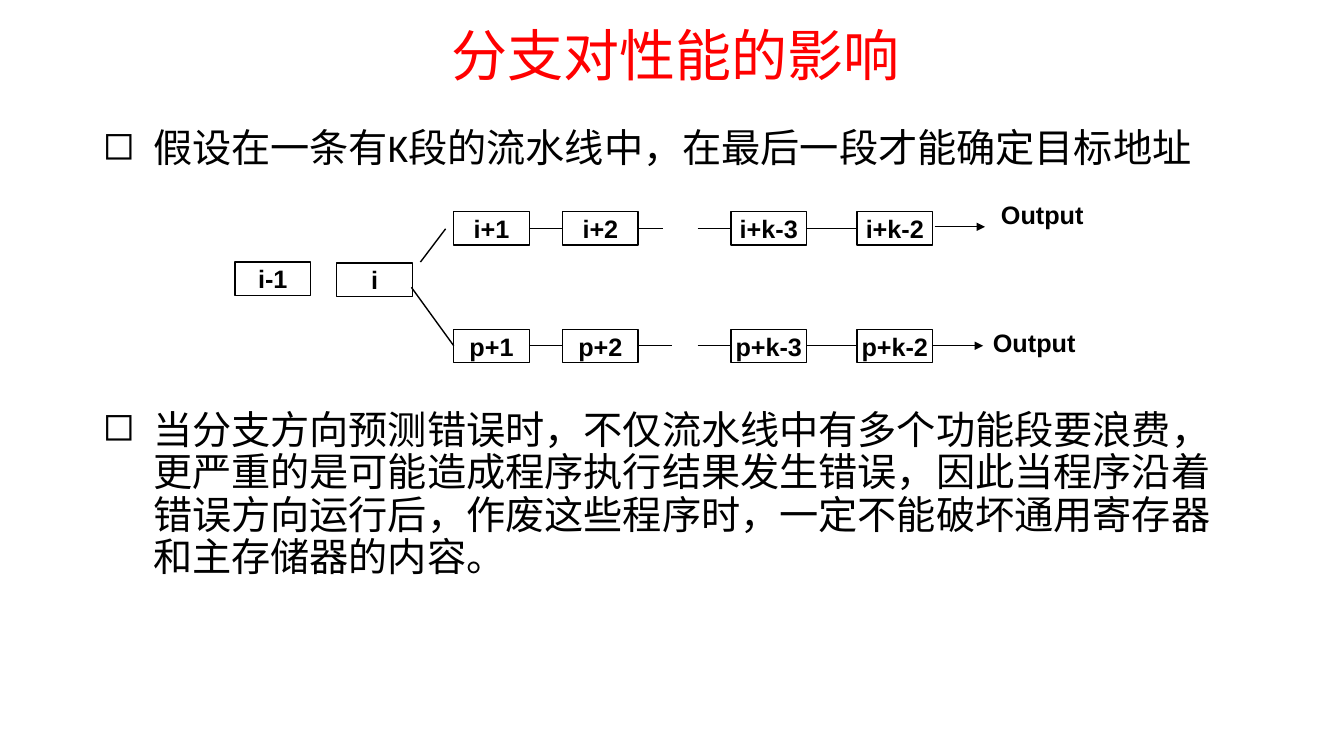
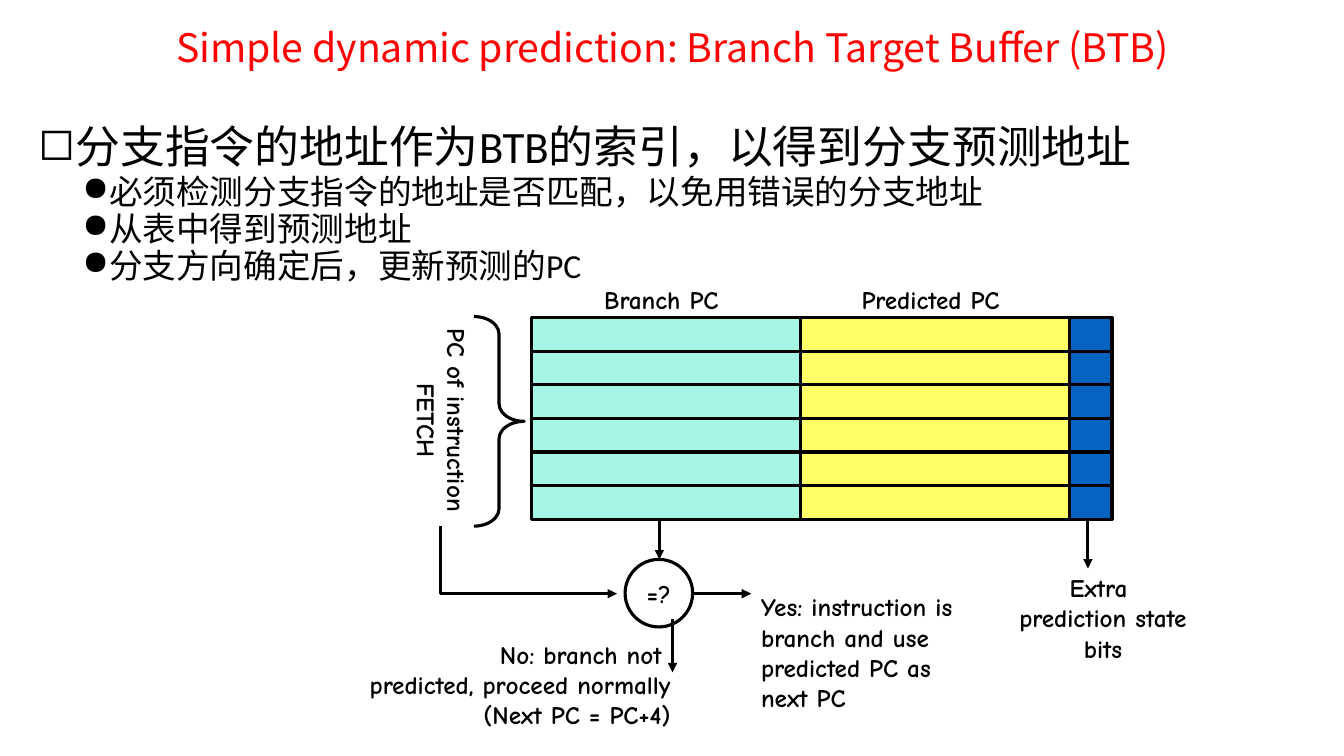
from pptx import Presentation
from pptx.dml.color import RGBColor
from pptx.enum.shapes import MSO_CONNECTOR, MSO_SHAPE
from pptx.enum.text import MSO_ANCHOR, PP_ALIGN
from pptx.oxml.ns import qn
from pptx.util import Inches, Pt
from lxml import etree

RED = RGBColor(0xFF, 0x00, 0x00)
BLACK = RGBColor(0x00, 0x00, 0x00)
MINT = RGBColor(0xA6, 0xF6, 0xE5)
YELLOW = RGBColor(0xFF, 0xFF, 0x66)
BLUE = RGBColor(0x05, 0x63, 0xC1)
HAN, BODY, SANS, COMIC = "Noto Sans CJK SC", "Calibri", "Arial", "Comic Neue"
RECT, OVAL, BRACE = MSO_SHAPE.RECTANGLE, MSO_SHAPE.OVAL, MSO_SHAPE.RIGHT_BRACE
LEFT, MID, RIGHT = PP_ALIGN.LEFT, PP_ALIGN.CENTER, PP_ALIGN.RIGHT
TOP, CENTER = MSO_ANCHOR.TOP, MSO_ANCHOR.MIDDLE
STRAIGHT = MSO_CONNECTOR.STRAIGHT

# Content, slide 1: bullets are (text, style, space before)
TITLE_1 = ("分支对性能的影响", 40, (0.95, 0.16, 11.5, 0.84))
POINTS_1 = [
    ("假设在一条有K段的流水线中，在最后一段才能确定目标地址", "wide", 10),
    ("当分支方向预测错误时，不仅流水线中有多个功能段要浪费，"
     "更严重的是可能造成程序执行结果发生错误，因此当程序沿着"
     "错误方向运行后，作废这些程序时，一定不能破坏通用寄存器"
     "和主存储器的内容。", "wide", 171),
]
STAGES = [("1", 4.5), ("2", 5.58), ("k-3", 7.25), ("k-2", 8.5)]
# name, box top, wire height, end of the stub, arrow start and height, label place
PATHS = [
    ("i", 2.1, 2.27, 6.58, (9.27, 2.25), (9.83, 1.93)),
    ("p", 3.27, 3.43, 6.67, (9.25, 3.43), (9.75, 3.2)),
]
HEADS = [("i-1", 2.33, 2.6), ("i", 3.34, 2.61)]
FORKS = [(4.17, 2.6, 4.42, 2.27), (4.08, 2.85, 4.5, 3.43)]
BOX_W, BOX_H = 0.75, 0.33

# Content, slide 2
TITLE_2 = ("Simple dynamic prediction: Branch Target Buffer (BTB)", 28,
           (0.92, 0.2, 11.5, 0.59))
POINTS_2 = [
    ("分支指令的地址作为BTB的索引，以得到分支预测地址", "main", 10),
    ("必须检测分支指令的地址是否匹配，以免用错误的分支地址", "sub", 5),
    ("从表中得到预测地址", "sub", 5),
    ("分支方向确定后，更新预测的PC", "sub", 5),
]
FIELDS = [(MINT, 2.67), (YELLOW, 2.67), (BLUE, 0.42)]
GRID_X, GRID_Y, ROWS, ROW_H = 5.27, 3.15, 6, 1 / 3
# lines, place, alignment, wrap, turn
NOTES = [
    (["Branch PC"], (5.85, 2.77, 1.42, 0.4), MID, False, 0),
    (["Predicted PC"], (8.36, 2.77, 1.74, 0.4), MID, False, 0),
    (["PC of instruction", "FETCH"], (3.27, 3.82, 2.23, 0.7), MID, False, 90),
    (["Extra ", "prediction state", "bits"], (9.87, 5.63, 2.14, 1), MID, False, 0),
    (["Yes: instruction is branch and use predicted PC as next PC"],
     (7.45, 5.82, 2.42, 1.3), LEFT, True, 0),
    (["No: branch not ", "predicted, proceed normally", " (Next PC = PC+4)"],
     (3.15, 6.29, 3.6, 1), RIGHT, False, 0),
]
ARROWS = [(6.54, 5.14, 6.54, 5.55), (10.79, 5.14, 10.79, 5.64),
          (6.87, 5.89, 7.45, 5.89), (6.67, 6.14, 6.67, 6.67)]
ELBOW = [(4.37, 5.22), (4.37, 5.89), (6.12, 5.89)]

# Bullet styles: mark, size, left margin, hang, line spacing, level
STYLES = {
    "wide": ("◻", 28, 0.5, 0.5, 0.9, 0),
    "main": ("◻", 32, 0.31, 0.31, 0.9, 0),
    "sub": ("●", 24, 0.69, 0.25, 0.75, 1),
}


def inches(nums):
    return [Inches(n) for n in nums]


def add_run(para, text, size, font, color=BLACK, bold=False):
    run = para.add_run()
    run.text = text
    run.font.size, run.font.bold, run.font.name = Pt(size), bold, font
    run.font.color.rgb = color
    props = run.font._element
    east = etree.SubElement(props, qn("a:ea"))
    east.set("typeface", HAN if font == BODY else font)


def fill_text(shape, lines, font, size=18, align=MID, anchor=CENTER,
              wrap=False, color=BLACK, bold=True, space=None):
    frame = shape.text_frame
    frame.word_wrap, frame.vertical_anchor = wrap, anchor
    for i, line in enumerate(lines):
        para = frame.add_paragraph() if i else frame.paragraphs[0]
        para.alignment = align
        if space:
            para.line_spacing = space
        add_run(para, line, size, font, color, bold)


def add_title(slide, text, size, place):
    box = slide.shapes.add_textbox(*inches(place))
    fill_text(box, [text], HAN, size, wrap=True, color=RED, bold=False, space=0.9)


def add_points(slide, points, place):
    frame = slide.shapes.add_textbox(*inches(place)).text_frame
    frame.word_wrap = True
    for i, (text, style, before) in enumerate(points):
        mark, size, margin, hang, space, level = STYLES[style]
        para = frame.add_paragraph() if i else frame.paragraphs[0]
        para.line_spacing, para.space_before, para.level = space, Pt(before), level
        props = para._p.get_or_add_pPr()
        props.set("marL", str(Inches(margin)))
        props.set("indent", str(-Inches(hang)))
        etree.SubElement(props, qn("a:buChar")).set("char", mark)
        add_run(para, text, size, BODY)


def style_line(line, width, arrow=False):
    line.color.rgb, line.width = BLACK, Pt(width)
    if arrow:
        tail = etree.SubElement(line._get_or_add_ln(), qn("a:tailEnd"))
        tail.set("type", "triangle")


def add_box(slide, kind, place, width, fill=None):
    shape = slide.shapes.add_shape(kind, *inches(place))
    shape.shadow.inherit = False
    if fill is None:
        shape.fill.background()
    else:
        shape.fill.solid()
        shape.fill.fore_color.rgb = fill
    style_line(shape.line, width)
    return shape


def add_wire(slide, ends, width, arrow=False):
    wire = slide.shapes.add_connector(STRAIGHT, *inches(ends))
    style_line(wire.line, width, arrow)
    etree.SubElement(wire._element.spPr, qn("a:effectLst"))


def add_stage(slide, text, x, y):
    box = add_box(slide, RECT, (x, y, BOX_W, BOX_H), 1)
    fill_text(box, [text], SANS)


def draw_paths(slide):
    for head in HEADS:
        add_stage(slide, *head)
    for fork in FORKS:
        add_wire(slide, fork, 1)
    for name, top, y, stub, (start, level), label in PATHS:
        for step, x in STAGES:
            add_stage(slide, f"{name}+{step}", x, top)
        # Wires join the stages, with a gap in the middle
        one, two, three, four = [x for _, x in STAGES]
        for a, b in [(one + BOX_W, two), (two + BOX_W, stub),
                     (6.92, three), (three + BOX_W, four)]:
            add_wire(slide, (a, y, b, y), 1)
        add_wire(slide, (start, level, start + 0.5, level), 1, True)
        box = slide.shapes.add_textbox(*inches((*label, 1.17, 0.4)))
        fill_text(box, ["Output"], SANS, align=LEFT, anchor=TOP, wrap=True)


def draw_buffer(slide):
    # Table of branch entries
    for row in range(ROWS):
        x = GRID_X
        for color, width in FIELDS:
            add_box(slide, RECT, (x, GRID_Y + row * ROW_H, width, ROW_H), 2.25, color)
            x += width
    # Comparison and its flow
    test = add_box(slide, OVAL, (6.2, 5.55, 0.67, 0.67), 2.25)
    fill_text(test, ["=?"], COMIC)
    brace = add_box(slide, BRACE, (4.7, 3.14, 0.5, 2.08), 2.25)
    brace.adjustments[0], brace.adjustments[1] = 0.347, 0.5
    for ends in ARROWS:
        add_wire(slide, ends, 2.25, True)
    first, *rest = [inches(point) for point in ELBOW]
    path = slide.shapes.build_freeform(*first)
    path.add_line_segments(rest, close=False)
    elbow = path.convert_to_shape()
    elbow.shadow.inherit = False
    elbow.fill.background()
    style_line(elbow.line, 2.25, True)
    # Labels
    for lines, place, align, wrap, turn in NOTES:
        box = slide.shapes.add_textbox(*inches(place))
        box.rotation = turn
        fill_text(box, lines, COMIC, align=align, wrap=wrap)


def main():
    deck = Presentation()
    deck.slide_width, deck.slide_height = inches((13.33, 7.5))
    pages = [
        (TITLE_1, POINTS_1, (0.92, 1.23, 11.5, 5.53), draw_paths),
        (TITLE_2, POINTS_2, (0.28, 1.19, 11.5, 4.76), draw_buffer),
    ]
    for title, points, place, draw in pages:
        slide = deck.slides.add_slide(deck.slide_layouts[6])
        add_title(slide, *title)
        add_points(slide, points, place)
        draw(slide)
    deck.save("out.pptx")


if __name__ == "__main__":
    main()
